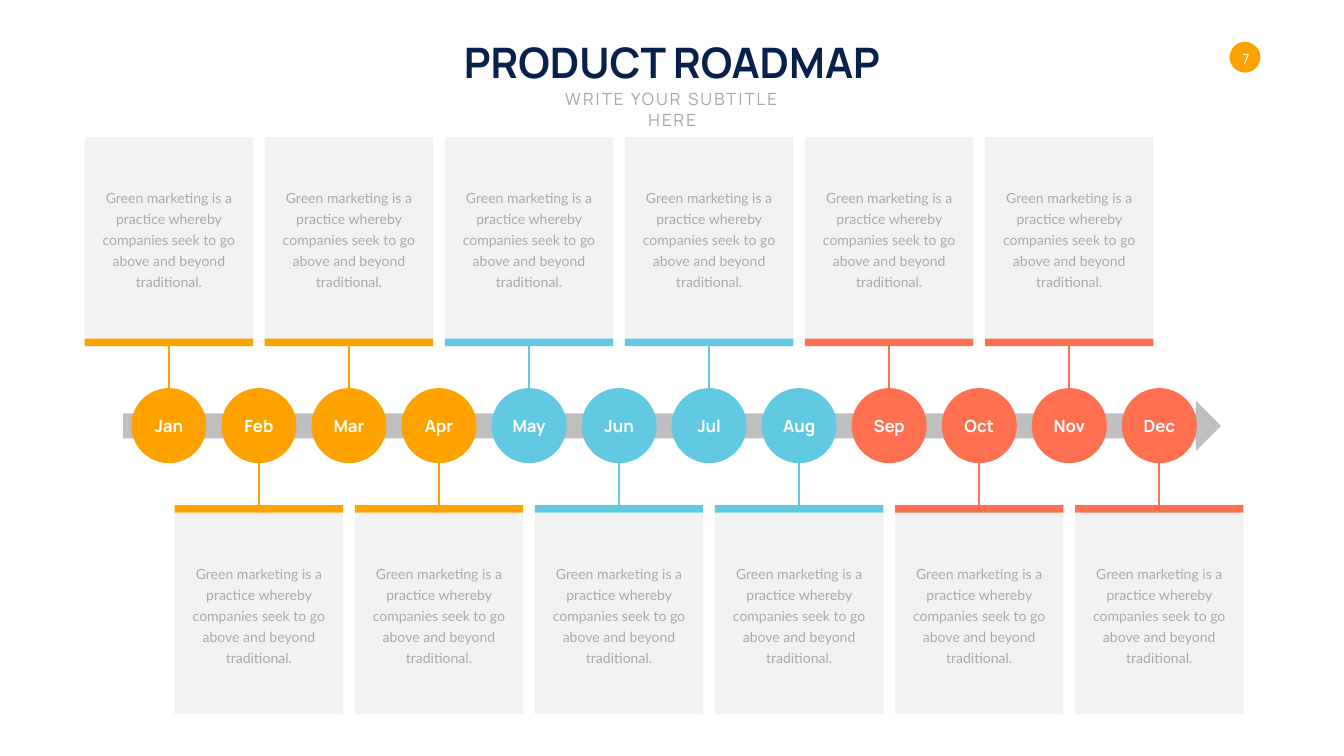
from pptx import Presentation
from pptx.dml.color import RGBColor
from pptx.enum.shapes import MSO_CONNECTOR, MSO_SHAPE
from pptx.enum.text import MSO_ANCHOR, PP_ALIGN
from pptx.oxml.ns import qn
from pptx.util import Emu, Pt
from lxml import etree

RECT, OVAL, ARROW = MSO_SHAPE.RECTANGLE, MSO_SHAPE.OVAL, MSO_SHAPE.RIGHT_ARROW
LINE = MSO_CONNECTOR.STRAIGHT
TOP, MIDDLE = MSO_ANCHOR.TOP, MSO_ANCHOR.MIDDLE
CENTER = PP_ALIGN.CENTER

PAPER = RGBColor(0xFE, 0xFF, 0xFE)
WHITE = RGBColor(0xFF, 0xFF, 0xFF)
NAVY = RGBColor(0x08, 0x20, 0x4C)
MIST = RGBColor(0xF2, 0xF2, 0xF2)
SILVER = RGBColor(0xBF, 0xBF, 0xBF)
GRAY = RGBColor(0xA6, 0xA6, 0xA6)
ASH = RGBColor(0xAA, 0xAA, 0xAA)
ORANGE = RGBColor(0xFE, 0xA2, 0x00)
BLUE = RGBColor(0x61, 0xCA, 0xE2)
CORAL = RGBColor(0xFE, 0x70, 0x50)

TITLE = "PRODUCT ROADMAP"
SUBTITLE = "WRITE YOUR SUBTITLE HERE"
PAGE = "7"
NOTE = ("Green marketing is a practice whereby companies "
        "seek to go above and beyond traditional.")
PHASES = [
    (ORANGE, ["Jan", "Feb", "Mar", "Apr"]),
    (BLUE, ["May", "Jun", "Jul", "Aug"]),
    (CORAL, ["Sep", "Oct", "Nov", "Dec"]),
]

# Lengths in px, 100 to the inch
PX = 9144
FIRST, STEP = 335, 178.6
DOT, DOT_TOP = 149, 770
CARD_W, CARD_H, BAR_H = 334, 400, 15
NOTE_W, NOTE_H = 299, 216
NAME_W, NAME_H = 95, 50
# card top, bar top, bar side facing the dots, dot edge
ABOVE = (272, 672, 2, DOT_TOP)
BELOW = (1017, 1002, 0, DOT_TOP + DOT)


def emu(*sizes):
    return [Emu(round(size * PX)) for size in sizes]


def add_block(slide, kind, box, color):
    block = slide.shapes.add_shape(kind, *emu(*box))
    block.shadow.inherit = False
    block.fill.solid()
    block.fill.fore_color.rgb = color
    block.line.fill.background()
    return block


def add_text(slide, text, box, size, color, font="Manrope", bold=False,
             anchor=MIDDLE, wrap=False):
    frame = slide.shapes.add_textbox(*emu(*box)).text_frame
    frame.word_wrap = wrap
    frame.vertical_anchor = anchor
    frame.text = text
    para = frame.paragraphs[0]
    para.alignment = CENTER
    face = para.runs[0].font
    face.name, face.size, face.bold = font, Pt(size), bold
    face.color.rgb = color
    return frame


def add_stem(slide, bar, side, mid, end, color):
    """Join the bar's side to the edge of the month's dot."""
    stem = slide.shapes.add_connector(LINE, *emu(mid, end, mid, end))
    stem.begin_connect(bar, side)
    stem.line.color.rgb = color
    stem.line.width = Pt(3)
    etree.SubElement(stem._element.spPr, qn("a:effectLst"))


def add_month(slide, index, name, color):
    mid = FIRST + STEP * index
    card_top, bar_top, side, edge = BELOW if index % 2 else ABOVE
    left = mid - CARD_W / 2

    add_block(slide, OVAL, (mid - DOT / 2, DOT_TOP, DOT, DOT), color)
    name_top = DOT_TOP + (DOT - NAME_H) / 2
    add_text(slide, name, (mid - NAME_W / 2, name_top, NAME_W, NAME_H),
             24, WHITE, bold=True)

    add_block(slide, RECT, (left, card_top, CARD_W, CARD_H), MIST)
    bar = add_block(slide, RECT, (left, bar_top, CARD_W, BAR_H), color)
    add_stem(slide, bar, side, mid, edge, color)
    note_top = card_top + (CARD_H - NOTE_H) / 2
    note = add_text(slide, NOTE, (mid - NOTE_W / 2, note_top, NOTE_W, NOTE_H),
                    20, ASH, font="Lato", wrap=True)
    note.paragraphs[0].line_spacing = Pt(30)


def main():
    deck = Presentation()
    deck.slide_width, deck.slide_height = emu(2666, 1500)
    slide = deck.slides.add_slide(deck.slide_layouts[6])
    slide.background.fill.solid()
    slide.background.fill.fore_color.rgb = PAPER

    add_block(slide, OVAL, (2439, 83, 61, 61), ORANGE)
    page = add_text(slide, PAGE, (2451, 99, 41, 34), 20, WHITE)
    page.margin_left = page.margin_right = 0
    page.margin_top = page.margin_bottom = 0

    add_text(slide, TITLE, (892, 67, 882, 111), 60, NAVY, bold=True,
             anchor=TOP)
    subtitle = add_text(slide, SUBTITLE, (1062, 172, 543, 50), 24, GRAY,
                        anchor=TOP, wrap=True)
    subtitle.paragraphs[0].runs[0].font._element.set("spc", "300")

    add_block(slide, ARROW, (244, 795, 2178, 100), SILVER)
    months = [(name, color) for color, names in PHASES for name in names]
    for index, (name, color) in enumerate(months):
        add_month(slide, index, name, color)

    deck.save("out.pptx")


if __name__ == "__main__":
    main()
